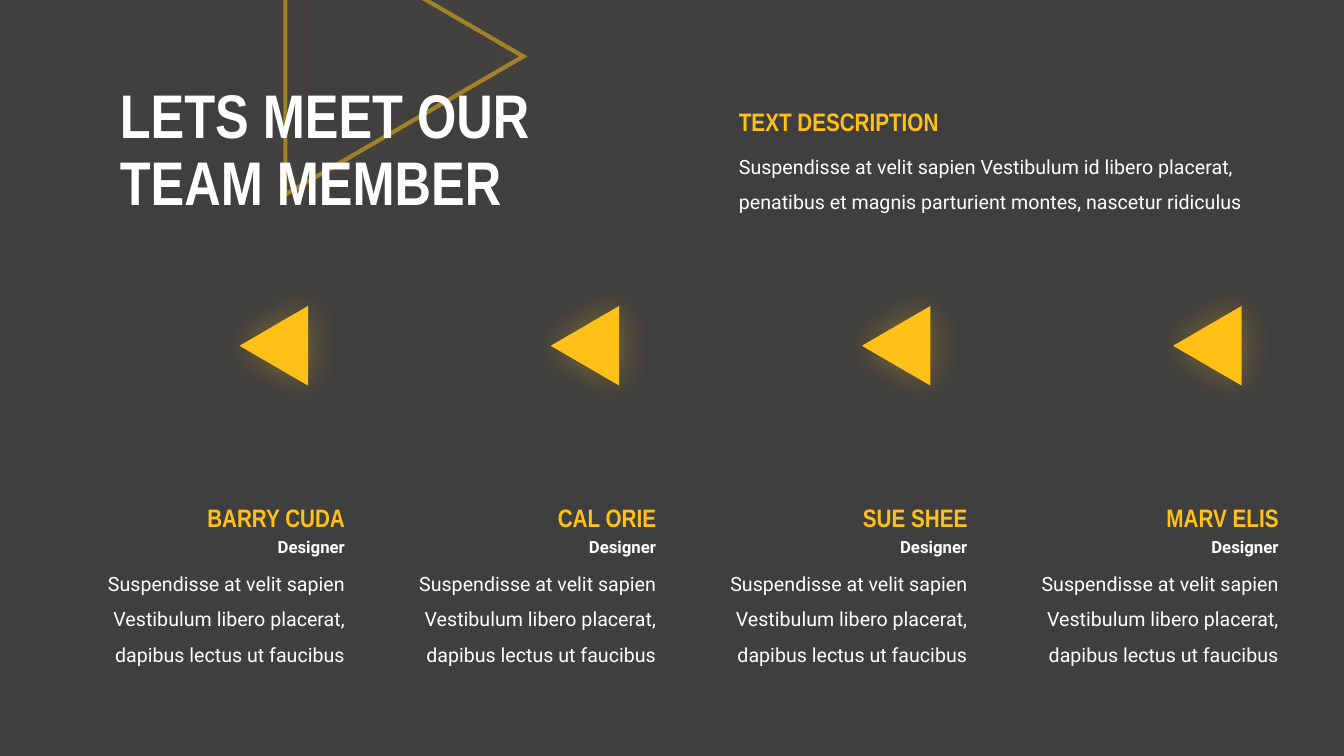
from dataclasses import dataclass

import lxml.etree
import pptx
import pptx.dml.color
import pptx.enum.shapes
import pptx.enum.text
import pptx.oxml.ns
import pptx.util

Inches = pptx.util.Inches
Pt = pptx.util.Pt
qn = pptx.oxml.ns.qn
Align = pptx.enum.text.PP_ALIGN
Anchor = pptx.enum.text.MSO_ANCHOR

COLORS = {"background": "3F3F3F", "accent": "FFC118", "text": "FFFFFF"}
HEAD_FONT = "Arial Narrow"
BODY_FONT = "Roboto"
FIRST_RIGHT, LAST_RIGHT = 3.52, 12.78


@dataclass(frozen=True)
class Member:
    name: str
    role: str = "Designer"
    bio: str = ("Suspendisse at velit sapien Vestibulum libero placerat, "
                "dapibus lectus ut faucibus")


MEMBERS = [Member("BARRY CUDA"), Member("CAL ORIE"),
           Member("SUE SHEE"), Member("MARV ELIS")]


def rgb(name: str) -> pptx.dml.color.RGBColor:
    return pptx.dml.color.RGBColor.from_string(COLORS[name])


def add_text(slide, text: str, left: float, top: float, width: float, height: float, *,
             size: float = 14, font: str = BODY_FONT, color: str = "text",
             bold: bool = False, align=Align.LEFT, spacing: float = 1.0,
             anchor=Anchor.TOP) -> None:
    tf = slide.shapes.add_textbox(Inches(left), Inches(top),
                                  Inches(width), Inches(height)).text_frame
    tf.word_wrap = True
    tf.vertical_anchor = anchor
    p = tf.paragraphs[0]
    p.text = text
    p.alignment = align
    p.line_spacing = spacing
    for r in p.runs:
        r.font.size = Pt(size)
        r.font.name = font
        r.font.bold = bold
        r.font.color.rgb = rgb(color)


def add_alpha(color_element, percent: int) -> None:
    lxml.etree.SubElement(color_element, qn("a:alpha"), val=str(percent * 1000))


def add_triangle(slide, left: float, top: float, width: float, height: float,
                 rotation: float, *, outlined: bool = False) -> None:
    """Add a glowing triangle, either filled or drawn as a half-transparent outline."""
    s = slide.shapes.add_shape(pptx.enum.shapes.MSO_SHAPE.ISOSCELES_TRIANGLE,
                               Inches(left), Inches(top), Inches(width), Inches(height))
    s.rotation = rotation
    spPr = s._element.spPr
    if outlined:
        s.fill.background()
        s.line.color.rgb = rgb("accent")
        s.line.width = Pt(3)
        ln = spPr.find(qn("a:ln"))
        add_alpha(ln.find(".//" + qn("a:srgbClr")), 50)
        lxml.etree.SubElement(ln, qn("a:miter"), lim="800000")
    else:
        s.fill.solid()
        s.fill.fore_color.rgb = rgb("accent")
        s.line.fill.background()
    s.shadow.inherit = False
    glow = lxml.etree.SubElement(spPr.find(qn("a:effectLst")), qn("a:outerShdw"),
                                 blurRad=str(Pt(25)), dist="0", dir="0",
                                 algn="ctr", rotWithShape="0")
    add_alpha(lxml.etree.SubElement(glow, qn("a:srgbClr"), val=COLORS["accent"]), 35)


def add_heading(slide, text: str, left: float, top: float, width: float,
                align=Align.LEFT) -> None:
    add_text(slide, text, left, top, width, 0.4, size=18, font=HEAD_FONT,
             color="accent", bold=True, align=align)


def add_member(slide, member: Member, right: float) -> None:
    """Add one team column whose text boxes end at the given right edge."""
    add_triangle(slide, right - 1.2, 3.09, 0.79, 0.68, 270)
    add_text(slide, member.bio, right - 2.84, 5.51, 2.84, 1.12,
             align=Align.RIGHT, spacing=1.5)
    add_heading(slide, member.name, right - 1.85, 4.93, 1.85, Align.RIGHT)
    add_text(slide, member.role, right - 1.04, 5.28, 1.04, 0.3,
             size=12, bold=True, align=Align.RIGHT)


def main() -> None:
    prs = pptx.Presentation()
    prs.slide_width, prs.slide_height = Inches(13.33), Inches(7.5)
    slide = prs.slides.add_slide(prs.slide_layouts[6])
    slide.background.fill.solid()
    slide.background.fill.fore_color.rgb = rgb("background")

    add_triangle(slide, 2.64, -0.62, 2.74, 2.36, 90, outlined=True)
    add_text(slide, "LETS MEET OUR\vTEAM MEMBER", 1.09, 0.72, 5.62, 1.58, size=44,
             font=HEAD_FONT, bold=True, spacing=0.9, anchor=Anchor.MIDDLE)

    pitch = (LAST_RIGHT - FIRST_RIGHT) / (len(MEMBERS) - 1)
    for i, member in enumerate(MEMBERS):
        add_member(slide, member, FIRST_RIGHT + i * pitch)

    add_text(slide, "Suspendisse at velit sapien Vestibulum id libero placerat, "
             "penatibus et magnis parturient montes, nascetur ridiculus",
             7.23, 1.37, 5.55, 0.77, spacing=1.5)
    add_heading(slide, "TEXT DESCRIPTION", 7.23, 1.01, 2.45)
    prs.save("out.pptx")


if __name__ == "__main__":
    main()
